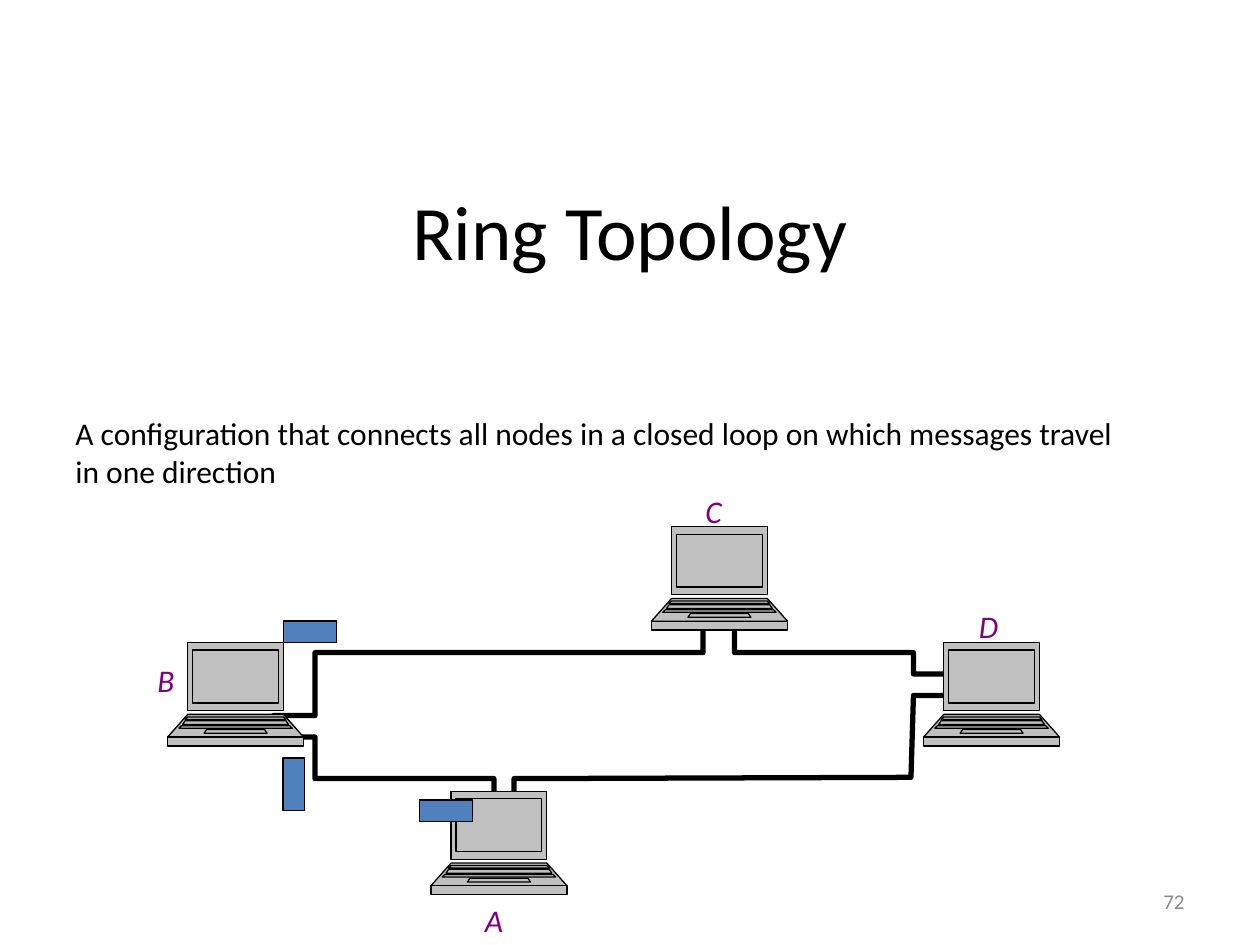
"""Build the Ring Topology slide: four laptops on a closed loop with message packets."""
from lxml import etree
from pptx import Presentation, util as u
from pptx.dml import color
from pptx.enum import shapes, text
from pptx.oxml import ns

COLORS = {"ink": "000000", "label": "800080", "laptop": "C0C0C0",
          "packet": "4F81BD", "number": "898989"}
FONT = "Calibri"


def rgb(name):
    return color.RGBColor.from_string(COLORS[name])


def write(frame, words, size, tint, align=text.PP_ALIGN.LEFT, italic=False):
    frame.word_wrap = True
    line = frame.paragraphs[0]
    line.text = words
    line.alignment = align
    line.font.name = FONT
    line.font.size = u.Pt(size)
    line.font.italic = italic
    line.font.color.rgb = rgb(tint)


deck = Presentation()
deck.slide_width, deck.slide_height = u.Inches(10), u.Inches(7.5)
slide = deck.slides.add_slide(deck.slide_layouts[5])

title = slide.shapes.title
title.left, title.top = u.Inches(0.5), u.Inches(1.15)
title.width, title.height = u.Inches(9), u.Inches(1.34)
title.text_frame.vertical_anchor = text.MSO_ANCHOR.MIDDLE
write(title.text_frame, "Ring Topology", 44, "ink", text.PP_ALIGN.CENTER)

route = [(3.92, 6.52), (3.92, 6.18), (2.5, 6.18), (2.5, 5.85), (2.17, 5.85),
         (2.17, 5.68), (2.5, 5.68), (2.5, 5.18), (5.58, 5.18), (5.58, 4.85),
         (5.83, 4.85), (5.83, 5.18), (7.25, 5.18), (7.25, 5.35), (7.58, 5.35),
         (7.58, 5.52), (7.25, 5.52), (7.23, 6.17), (4.08, 6.18), (4.08, 6.52)]
route = [(u.Inches(x), u.Inches(y)) for x, y in route]
tracer = slide.shapes.build_freeform(*route[0])
tracer.add_line_segments(route[1:], close=False)
cable = tracer.convert_to_shape()
cable.shadow.inherit = False
cable.fill.background()
cable.line.color.rgb = rgb("ink")
cable.line.width = u.Pt(3)

# (top, bottom, half width at top, half width at bottom)
laptop_parts = [
    (0, 0.54, 0.38, 0.38),
    (0.57, 0.75, 0.38, 0.54),
    (0.75, 0.82, 0.54, 0.54),
    (0.06, 0.48, 0.34, 0.34),
    (0.59, 0.61, 0.38, 0.4),
    (0.69, 0.72, 0.23, 0.25),
    (0.62, 0.65, 0.4, 0.42),
    (0.66, 0.68, 0.43, 0.45),
]
for center, top in [(5.71, 4.18), (7.87, 5.1), (1.87, 5.1), (3.96, 6.28)]:
    tracer = None
    for upper, lower, half_upper, half_lower in laptop_parts:
        corners = [(center - half_upper, top + upper), (center + half_upper, top + upper),
                   (center + half_lower, top + lower), (center - half_lower, top + lower)]
        corners = [(u.Inches(x), u.Inches(y)) for x, y in corners]
        if tracer is None:
            tracer = slide.shapes.build_freeform(*corners[0])
        else:
            tracer.move_to(*corners[0])
        tracer.add_line_segments(corners[1:], close=True)
    laptop = tracer.convert_to_shape()
    laptop.shadow.inherit = False
    laptop.fill.solid()
    laptop.fill.fore_color.rgb = rgb("laptop")
    laptop.line.color.rgb = rgb("ink")
    laptop.line.width = u.Pt(0.75)
    outline = laptop._element.xpath(".//a:path")[0]
    outlines = outline.getparent()
    for command in list(outline):
        if command.tag == ns.qn("a:moveTo"):
            part = etree.SubElement(outlines, outline.tag, dict(outline.attrib))
        part.append(command)
    outlines.remove(outline)

for left, top, angle in [(3.33, 6.35, 0), (2.12, 6.14, 90), (2.25, 4.93, 0)]:
    packet = slide.shapes.add_shape(shapes.MSO_SHAPE.RECTANGLE, u.Inches(left),
                                    u.Inches(top), u.Inches(0.42), u.Inches(0.17))
    packet.rotation = angle
    packet.shadow.inherit = False
    packet.fill.solid()
    packet.fill.fore_color.rgb = rgb("packet")
    packet.line.color.rgb = rgb("ink")
    packet.line.width = u.Pt(0.75)

for node, left, top in [("A", 3.75, 7.1), ("B", 1.15, 5.2), ("C", 5.5, 3.86), ("D", 7.67, 4.77)]:
    label = slide.shapes.add_textbox(u.Inches(left), u.Inches(top), u.Inches(0.36), u.Inches(0.4))
    write(label.text_frame, node, 18, "label", italic=True)

definition = slide.shapes.add_textbox(u.Inches(0.5), u.Inches(3.24), u.Inches(8.5), u.Inches(0.71))
write(definition.text_frame, "A configuration that connects all nodes in a closed loop "
      "on which messages travel in one direction", 18, "ink")

number = slide.shapes.add_textbox(u.Inches(7.17), u.Inches(6.95), u.Inches(2.33), u.Inches(0.4))
number.text_frame.vertical_anchor = text.MSO_ANCHOR.MIDDLE
write(number.text_frame, "72", 12, "number", text.PP_ALIGN.RIGHT)

deck.save("out.pptx")
